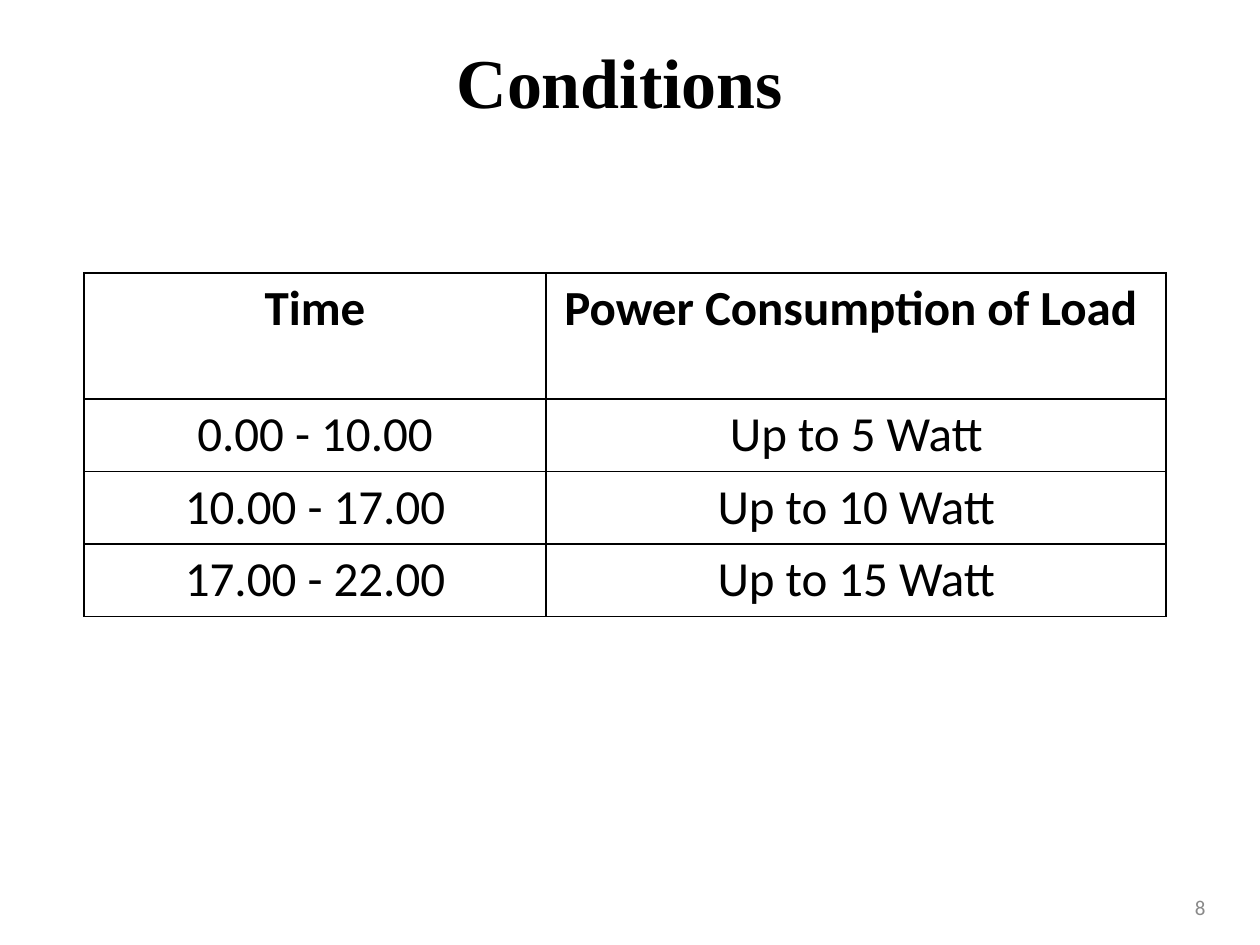
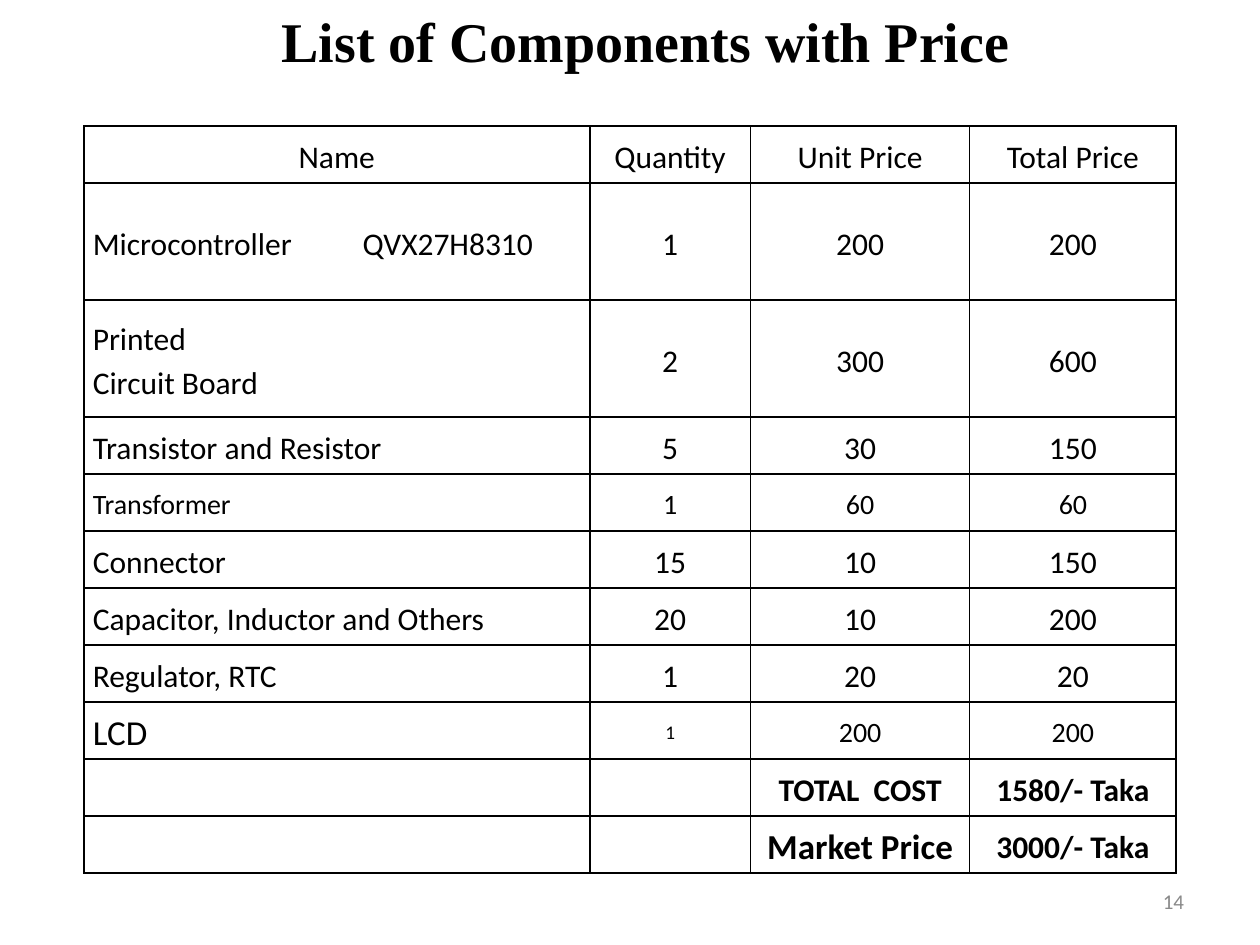
from lxml import etree
from pptx import Presentation
from pptx.dml.color import RGBColor
from pptx.enum.text import MSO_ANCHOR, MSO_AUTO_SIZE, PP_ALIGN
from pptx.oxml.ns import qn
from pptx.util import Cm, Pt

LEFT, CENTER, RIGHT = PP_ALIGN.LEFT, PP_ALIGN.CENTER, PP_ALIGN.RIGHT
TOP, MIDDLE = MSO_ANCHOR.TOP, MSO_ANCHOR.MIDDLE
NO_AUTOFIT = MSO_AUTO_SIZE.NONE

COLORS = {"text": "000000", "border": "000000", "cell": "FFFFFF", "number": "898989"}
TITLE_FONT, BODY_FONT = "Times New Roman", "Calibri"
TITLE_ONLY_LAYOUT = 5
TABLE_LEFT = 1.69

CONDITIONS = [
    ["Time", "Power Consumption of Load "],
    ["0.00 - 10.00", "Up to 5 Watt"],
    ["10.00 - 17.00", "Up to 10 Watt"],
    ["17.00 - 22.00", "Up to 15 Watt"],
]
COMPONENTS = [
    ["Name", "Quantity", "Unit Price", "Total Price"],
    ["Microcontroller\tQVX27H8310", "1", "200", "200"],
    ["Printed\nCircuit Board", "2", "300", "600"],
    ["Transistor and Resistor", "5", "30", "150"],
    ["Transformer", "1", "60", "60"],
    ["Connector", "15", "10", "150"],
    ["Capacitor, Inductor and Others", "20", "10", "200"],
    ["Regulator, RTC", "1", "20", "20"],
    ["LCD", "1", "200", "200"],
    ["", "", "TOTAL  COST", "1580/- Taka"],
    ["", "", "Market Price", "3000/- Taka"],
]
TRANSFORMER_ROW, LCD_ROW, TOTAL_ROW, MARKET_ROW = 4, 8, 9, 10
COMPONENT_SIZES = {
    **{(TRANSFORMER_ROW, column): 16 for column in range(4)},
    (LCD_ROW, 0): 20, (LCD_ROW, 1): 11, (LCD_ROW, 2): 16, (LCD_ROW, 3): 16,
    (MARKET_ROW, 2): 20,
}


def format_paragraph(paragraph, font_name, size, color="text", bold=False, align=CENTER):
    paragraph.alignment = align
    font = paragraph.font
    font.name, font.size, font.bold = font_name, Pt(size), bold
    font.color.rgb = RGBColor.from_string(COLORS[color])


def place(shape, left, top, width, height):
    shape.left, shape.top = Cm(left), Cm(top)
    shape.width, shape.height = Cm(width), Cm(height)


def add_titled_slide(presentation, title, box, size):
    slide = presentation.slides.add_slide(presentation.slide_layouts[TITLE_ONLY_LAYOUT])
    shape = slide.shapes.title
    place(shape, *box)
    frame = shape.text_frame
    frame.text = title
    frame.auto_size = NO_AUTOFIT
    frame.vertical_anchor = TOP
    format_paragraph(frame.paragraphs[0], TITLE_FONT, size, bold=True)
    return slide


def add_page_number(slide, number, left, top):
    shape = slide.shapes.add_textbox(Cm(left), Cm(top), Cm(5.92), Cm(1.02))
    frame = shape.text_frame
    frame.word_wrap = True
    frame.vertical_anchor = MIDDLE
    frame.text = str(number)
    format_paragraph(frame.paragraphs[0], BODY_FONT, 12, "number", align=RIGHT)


def add_borders(cell):
    properties = cell._tc.get_or_add_tcPr()
    for index, side in enumerate(("lnL", "lnR", "lnT", "lnB")):
        line = etree.Element(qn(f"a:{side}"), w=str(Pt(1)))
        fill = etree.SubElement(line, qn("a:solidFill"))
        etree.SubElement(fill, qn("a:srgbClr"), val=COLORS["border"])
        properties.insert(index, line)


def add_tab_stop(paragraph, position):
    """Set a left tab stop; call before the paragraph's font is set."""
    tabs = etree.SubElement(paragraph._p.get_or_add_pPr(), qn("a:tabLst"))
    etree.SubElement(tabs, qn("a:tab"), pos=str(Cm(position)), algn="l")


def add_grid(slide, texts, top, widths, heights):
    """Add a plain white table with black borders, filled with texts."""
    frame = slide.shapes.add_table(len(texts), len(widths), Cm(TABLE_LEFT), Cm(top),
                                   Cm(sum(widths)), Cm(sum(heights)))
    table = frame.table
    table.first_row = table.horz_banding = False
    for column, width in zip(table.columns, widths):
        column.width = Cm(width)
    for row, height, row_texts in zip(table.rows, heights, texts):
        row.height = Cm(height)
        for cell, text in zip(row.cells, row_texts):
            cell.text = text
            cell.fill.solid()
            cell.fill.fore_color.rgb = RGBColor.from_string(COLORS["cell"])
            add_borders(cell)
    return table


def add_conditions_slide(presentation):
    slide = add_titled_slide(presentation, "Conditions", (2.12, 0.64, 20.75, 1.9), 40)
    table = add_grid(slide, CONDITIONS, 5.5, [9.32, 12.5], [2.54] + [1.45] * 3)
    for row_index, row in enumerate(table.rows):
        for cell in row.cells:
            format_paragraph(cell.text_frame.paragraphs[0], BODY_FONT, 28,
                             bold=row_index == 0)
    add_page_number(slide, 8, 18.63, 17.78)


def add_components_slide(presentation):
    slide = add_titled_slide(presentation, "List of Components with Price",
                             (4.87, 0, 16.3, 1.58), 32)
    table = add_grid(slide, COMPONENTS, 2.54, [10.2, 3.24, 4.42, 4.16],
                     [1.15] + [2.36] * 2 + [1.15] * 8)
    for row_index, row in enumerate(table.rows):
        for column_index, cell in enumerate(row.cells):
            cell.vertical_anchor = MIDDLE
            cell.margin_left = cell.margin_right = Cm(0.18)
            cell.margin_top = cell.margin_bottom = 0
            size = COMPONENT_SIZES.get((row_index, column_index), 18)
            is_name = column_index == 0 and row_index > 0
            for paragraph in cell.text_frame.paragraphs:
                paragraph.line_spacing = 1.15
                if "\t" in paragraph.text:
                    add_tab_stop(paragraph, 5.44)
                format_paragraph(paragraph, BODY_FONT, size, bold=row_index >= TOTAL_ROW,
                                 align=LEFT if is_name else CENTER)
    add_page_number(slide, 14, 18.2, 17.65)


def main():
    presentation = Presentation()
    presentation.slide_width, presentation.slide_height = Cm(25.4), Cm(19.05)
    add_conditions_slide(presentation)
    add_components_slide(presentation)
    presentation.save("out.pptx")


if __name__ == "__main__":
    main()
